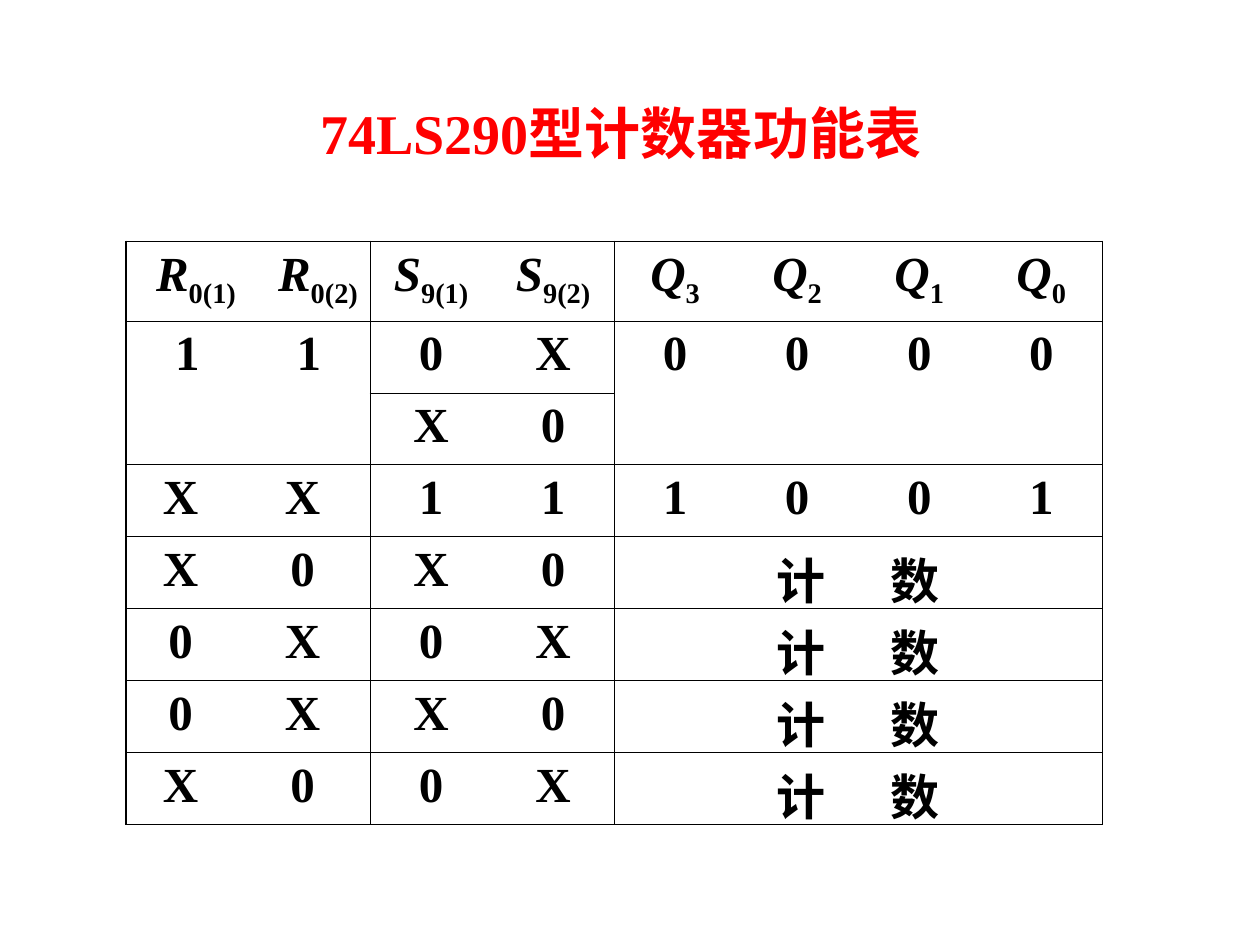
from lxml import etree
from pptx import Presentation
from pptx import util as u
from pptx.dml.color import RGBColor
from pptx.enum import text
from pptx.oxml import ns

COLORS = {"title": "FF0000", "ink": "000000"}
FONT = "Times New Roman"
NO_STYLE = "{2D5ABB26-0587-4C30-8999-92F81FD0307C}"
COL_WIDTHS = [2.2, 0.62, 2.1] + [2.46] * 6
ROW_HEIGHTS = [1.6] + [1.45] * 7
GROUP_STARTS, GROUP_ENDS = (0, 3, 5), (2, 4, 8)
SPLIT_COLS = (3, 4)
THIN, THICK = 0.45, 1.08

HEADERS = {0: ("R", "0(1)"), 2: ("R", "0(2)"), 3: ("S", "9(1)"), 4: ("S", "9(2)"),
           5: ("Q", "3"), 6: ("Q", "2"), 7: ("Q", "1"), 8: ("Q", "0")}
COUNT = "计\t数"
BODY = [
    {0: "1\t1", 3: "0", 4: "X", 5: "0", 6: "0", 7: "0", 8: "0"},
    {3: "X", 4: "0"},
    {0: "X", 1: "X", 3: "1", 4: "1", 5: "1", 6: "0", 7: "0", 8: "1"},
    {0: "X", 1: "0", 3: "X", 4: "0", 5: COUNT},
    {0: "0", 1: "X", 3: "0", 4: "X", 5: COUNT},
    {0: "0", 1: "X", 3: "X", 4: "0", 5: COUNT},
    {0: "X", 1: "0", 3: "0", 4: "X", 5: COUNT},
]
PAIR_LAYOUT = {0: (0.99, 2.45), 5: (3.27, 2.3)}


def set_font(p, size, color):
    f = p.font
    f.name, f.size, f.bold = FONT, u.Pt(size), True
    f.color.rgb = RGBColor.from_string(COLORS[color])


def add_title(s, caption):
    sp = s.shapes.title
    sp.left, sp.top, sp.width, sp.height = u.Cm(5.72), u.Cm(1.85), u.Cm(13.59), u.Cm(1.63)
    tf = sp.text_frame
    tf.text = caption
    tf.vertical_anchor = text.MSO_ANCHOR.MIDDLE
    p = tf.paragraphs[0]
    p.alignment = text.PP_ALIGN.CENTER
    set_font(p, 32, "title")


def write_header(cell, symbol, index):
    cell.margin_left = cell.margin_right = u.Cm(0.1)
    p = cell.text_frame.paragraphs[0]
    p.alignment = text.PP_ALIGN.CENTER
    set_font(p, 28, "ink")
    r = p.add_run()
    r.text, r.font.italic = symbol, True
    r = p.add_run()
    r.text = index
    r.font._element.set("baseline", "-25000")


def write_value(cell, value, col):
    p = cell.text_frame.paragraphs[0]
    p.text = value
    p.alignment = text.PP_ALIGN.CENTER
    if "\t" in value:
        margin, gap = PAIR_LAYOUT[col]
        cell.margin_left = u.Cm(margin)
        cell.margin_bottom = u.Cm(-0.11)
        p.alignment = text.PP_ALIGN.LEFT
        tabs = etree.SubElement(p._p.get_or_add_pPr(), ns.qn("a:tabLst"))
        etree.SubElement(tabs, ns.qn("a:tab"), pos=str(u.Cm(gap)), algn="l")
    set_font(p, 28, "ink")


def set_borders(cell, widths):
    tcPr = cell._tc.get_or_add_tcPr()
    for i, (side, width) in enumerate(zip("LRTB", widths)):
        ln = etree.Element(ns.qn(f"a:ln{side}"), w=str(u.Pt(width)))
        if width:
            fill = etree.SubElement(ln, ns.qn("a:solidFill"))
            etree.SubElement(fill, ns.qn("a:srgbClr"), val=COLORS["ink"])
        else:
            etree.SubElement(ln, ns.qn("a:noFill"))
        tcPr.insert(i, ln)


def border_widths(cell, row, col):
    last_row = row + (cell.span_height if cell.is_merge_origin else 1) - 1
    last_col = col + (cell.span_width if cell.is_merge_origin else 1) - 1
    split = col in SPLIT_COLS

    def weight(visible, outer):
        return (THICK if outer else THIN) if visible else 0

    return (weight(col in GROUP_STARTS, col == 0),
            weight(last_col in GROUP_ENDS, False),
            weight(row != 2 or split, row == 0),
            weight(last_row != 1 or split, last_row == len(ROW_HEIGHTS) - 1))


def add_function_table(s):
    frame = s.shapes.add_table(len(ROW_HEIGHTS), len(COL_WIDTHS), u.Cm(2.54), u.Cm(4.87),
                               u.Cm(sum(COL_WIDTHS)), u.Cm(sum(ROW_HEIGHTS)))
    tbl = frame.table
    tbl.first_row = tbl.horz_banding = False
    tbl._tbl.tblPr.find(ns.qn("a:tableStyleId")).text = NO_STYLE
    for column, width in zip(tbl.columns, COL_WIDTHS):
        column.width = u.Cm(width)
    for row, height in zip(tbl.rows, ROW_HEIGHTS):
        row.height = u.Cm(height)

    tbl.cell(0, 0).merge(tbl.cell(0, 1))
    tbl.cell(1, 0).merge(tbl.cell(2, 2))
    for row in range(3, 8):
        tbl.cell(row, 1).merge(tbl.cell(row, 2))
    for row in range(4, 8):
        tbl.cell(row, 5).merge(tbl.cell(row, 8))

    for col, (symbol, index) in HEADERS.items():
        write_header(tbl.cell(0, col), symbol, index)
    for row, values in enumerate(BODY, 1):
        for col, value in values.items():
            write_value(tbl.cell(row, col), value, col)

    for row in range(len(ROW_HEIGHTS)):
        for col in range(len(COL_WIDTHS)):
            cell = tbl.cell(row, col)
            cell.fill.background()
            set_borders(cell, border_widths(cell, row, col))


def main():
    prs = Presentation()
    prs.slide_width, prs.slide_height = u.Cm(25.4), u.Cm(19.05)
    s = prs.slides.add_slide(prs.slide_layouts[5])
    add_title(s, "74LS290型计数器功能表")
    add_function_table(s)
    prs.save("out.pptx")


if __name__ == "__main__":
    main()
